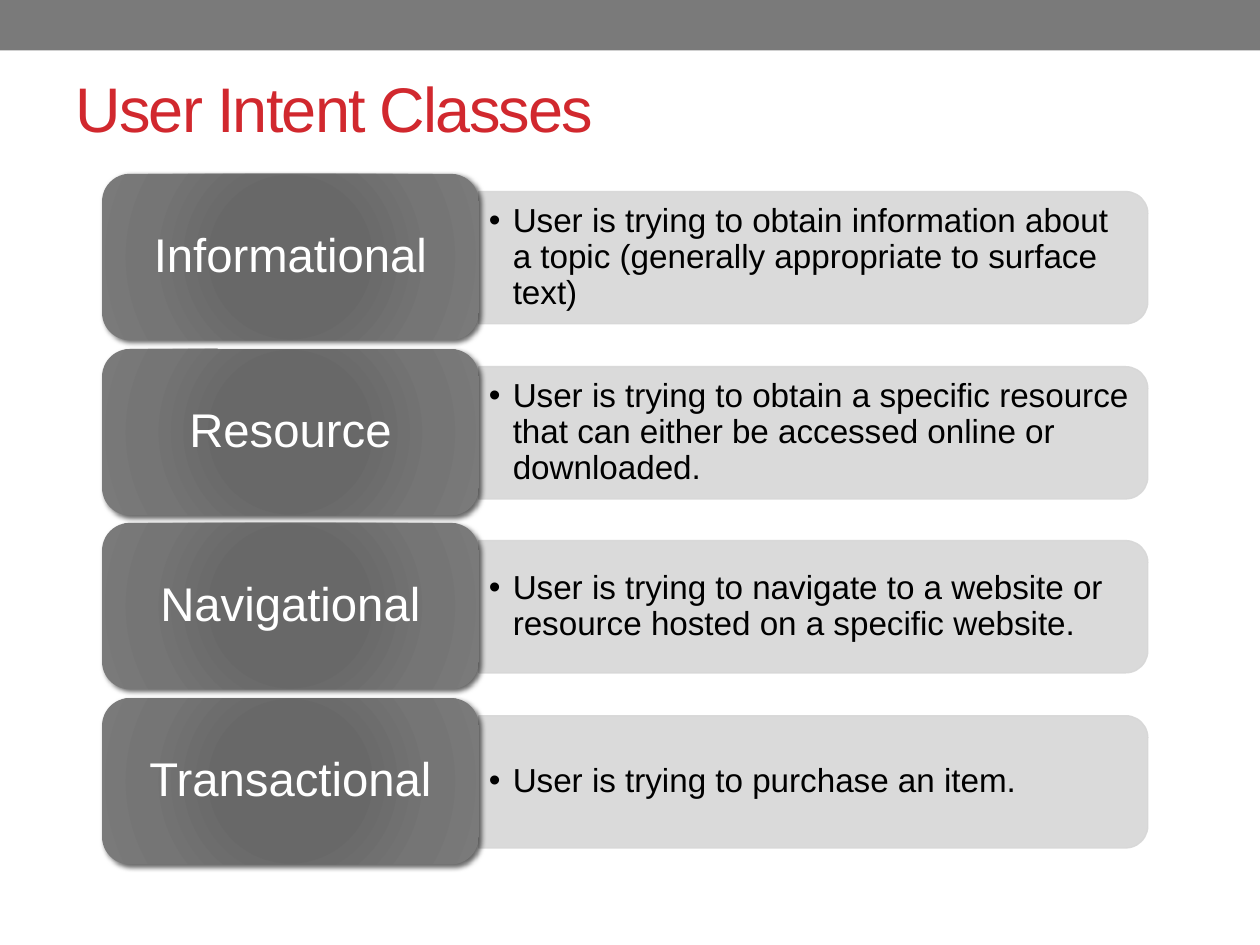
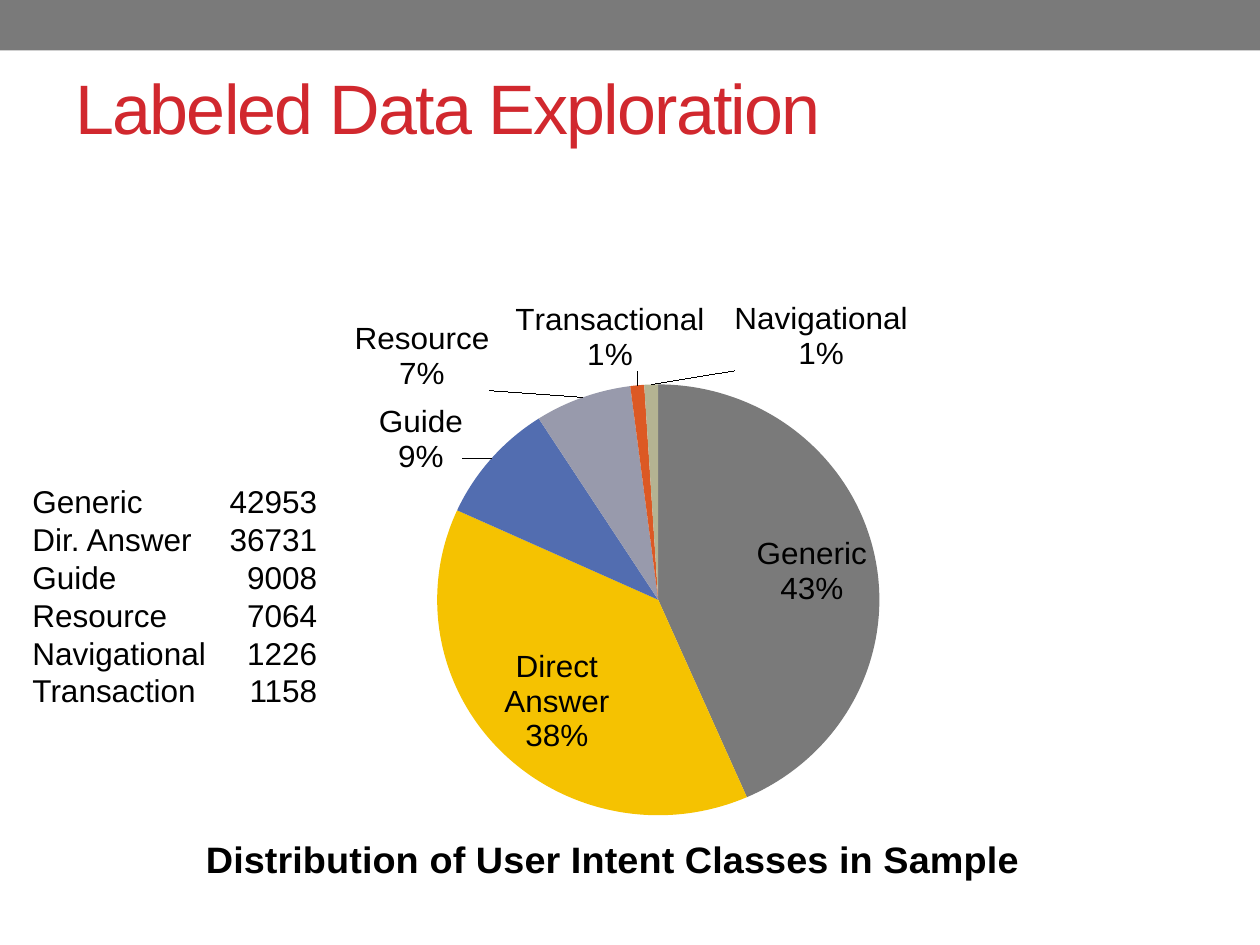
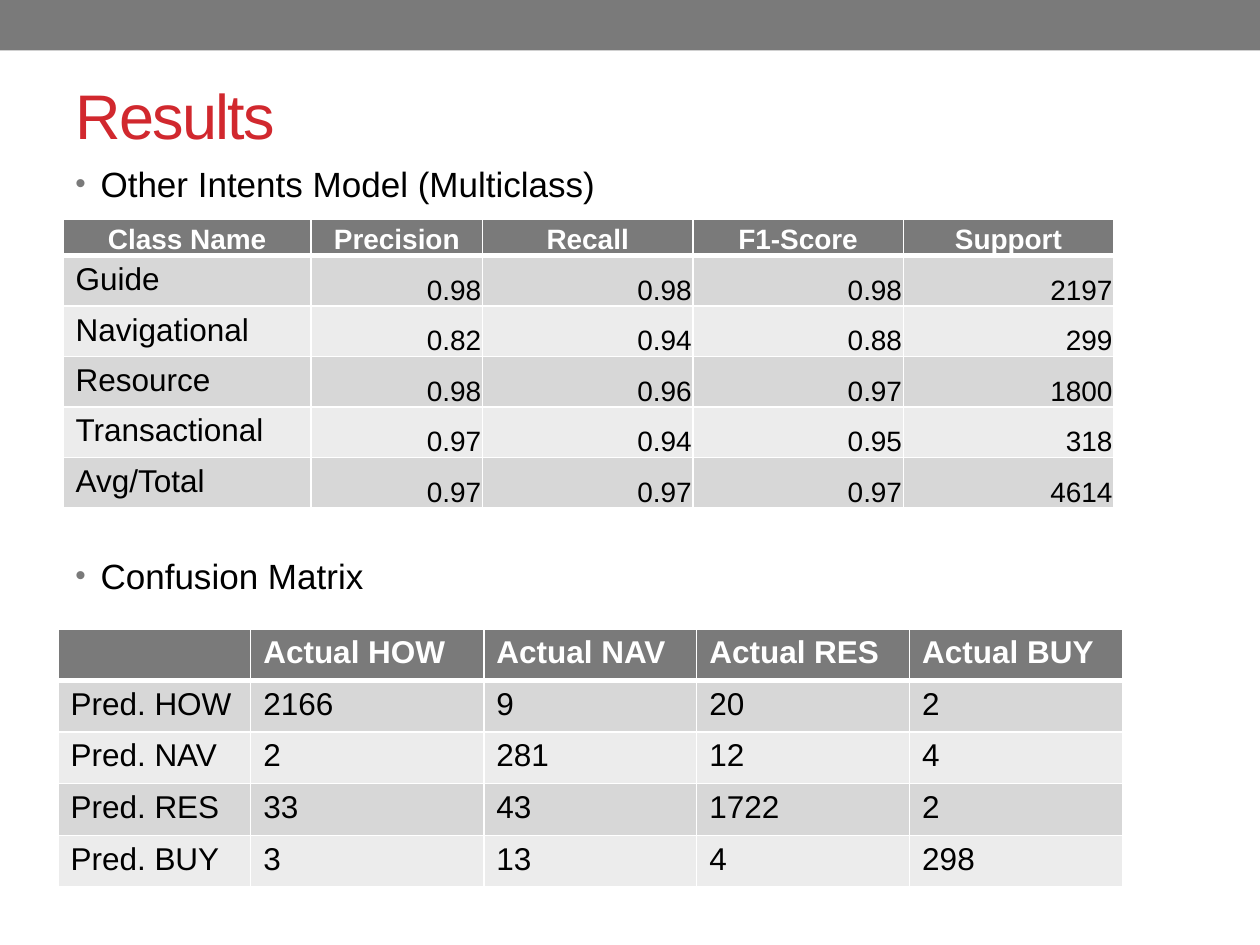
from dataclasses import dataclass

from pptx import Presentation as Deck
from pptx.chart.data import CategoryChartData as Data
from pptx.dml.color import RGBColor as Rgb
from pptx.enum.chart import XL_CHART_TYPE as Kind
from pptx.enum.shapes import MSO_SHAPE as Form
from pptx.enum.text import MSO_ANCHOR as Anchor, PP_ALIGN as Align
from pptx.oxml import parse_xml as to_xml
from pptx.oxml.ns import nsdecls as decls, qn
from pptx.util import Pt

PX = 9144
FONT = "Arial"
HEX = {
    "band": "7A7A7A", "title": "D1282E", "ink": "000000", "white": "FFFFFF",
    "bar": "D7D7D7", "light": "ECECEC", "core": "686868", "mid": "757575",
    "gold": "F5C201", "blue": "526DB0", "mist": "989AAC",
    "rust": "DC5924", "sand": "B4B392",
}
THIN, THICK = 12700, 38100
TIGHT = (1, 1, 1, 0)


@dataclass(frozen=True)
class Box:
    x: int
    y: int
    w: int
    h: int

    def emu(self) -> list[int]:
        return [n * PX for n in (self.x, self.y, self.w, self.h)]


@dataclass(frozen=True)
class Intent:
    name: str
    text: str


@dataclass(frozen=True)
class Slice:
    name: str
    value: int
    hue: str
    pos: str
    dx: float
    dy: float


@dataclass(frozen=True)
class Grid:
    x: int
    y: int
    cols: list[int]
    head: int
    row: int
    rows: list[list[str]]
    dense: bool = False


INTENTS = [
    Intent("Informational", "User is trying to obtain information about a topic "
                            "(generally appropriate to surface text)"),
    Intent("Resource", "User is trying to obtain a specific resource that can "
                       "either be accessed online or downloaded."),
    Intent("Navigational", "User is trying to navigate to a website or resource "
                           "hosted on a specific website."),
    Intent("Transactional", "User is trying to purchase an item."),
]

SLICES = [
    Slice("Generic", 43, "band", "ctr", 0.04, -0.01),
    Slice("Direct Answer", 38, "gold", "ctr", -0.02, 0.04),
    Slice("Guide", 9, "blue", "outEnd", -0.02, 0.03),
    Slice("Resource", 7, "mist", "outEnd", -0.08, 0),
    Slice("Transactional", 1, "rust", "outEnd", 0.06, -0.01),
    Slice("Navigational", 1, "sand", "outEnd", 0.15, -0.01),
]

COUNTS = [("Generic", 42953), ("Dir. Answer", 36731), ("Guide", 9008),
          ("Resource", 7064), ("Navigational", 1226), ("Transaction", 1158)]

SCORES = Grid(50, 174, [197, 136, 167, 167, 167], 29, 38, [
    ["Class Name", "Precision", "Recall", "F1-Score", "Support"],
    ["Guide", "0.98", "0.98", "0.98", "2197"],
    ["Navigational", "0.82", "0.94", "0.88", "299"],
    ["Resource", "0.98", "0.96", "0.97", "1800"],
    ["Transactional", "0.97", "0.94", "0.95", "318"],
    ["Avg/Total", "0.97", "0.97", "0.97", "4614"],
], dense=True)

MATRIX = Grid(46, 499, [153, 185, 169, 169, 169], 41, 41, [
    ["", "Actual HOW", "Actual NAV", "Actual RES", "Actual BUY"],
    ["Pred. HOW", "2166", "9", "20", "2"],
    ["Pred. NAV", "2", "281", "12", "4"],
    ["Pred. RES", "33", "43", "1722", "2"],
    ["Pred. BUY", "3", "13", "4", "298"],
])


def rgb(name: str) -> Rgb:
    return Rgb.from_string(HEX[name])


def node(tag: str, body: str = "", **attrs):
    pairs = "".join(f' {k}="{v}"' for k, v in attrs.items())
    return to_xml(f"<{tag} {decls('a', 'c')}{pairs}>{body}</{tag}>")


def tint(name: str, body: str = "") -> str:
    return f'<a:srgbClr val="{HEX[name]}">{body}</a:srgbClr>'


def write(frame, text: str, *, size: float = 18, hue: str = "ink", bold: bool = False,
          align=None, anchor=Anchor.TOP, pads=(10, 5, 10, 5), lead=None, above: int = 0,
          track: int = 0, hang: int = 0, dot: str = "", tab: int = 0) -> None:
    frame.word_wrap = True
    frame.vertical_anchor = anchor
    (frame.margin_left, frame.margin_top,
     frame.margin_right, frame.margin_bottom) = [n * PX for n in pads]
    for i, line in enumerate(text.split("\n")):
        para = frame.add_paragraph() if i else frame.paragraphs[0]
        para.alignment = align
        para.line_spacing = lead
        para.space_before = Pt(above)
        props = para._p.get_or_add_pPr()
        if hang:
            props.set("marL", str(hang * PX))
            props.set("indent", str(-hang * PX))
            if dot != "ink":
                props.append(node("a:buClr", tint(dot)))
                props.append(node("a:buSzPct", val=85000))
            props.append(node("a:buFont", typeface=FONT))
            props.append(node("a:buChar", char="•"))
        if tab:
            props.append(node("a:tabLst", f'<a:tab pos="{tab * PX}" algn="r"/>'))
        run = para.add_run()
        run.text = line
        font = run.font
        font.name, font.size, font.bold = FONT, Pt(size), bold
        font.color.rgb = rgb(hue)
        if track:
            run._r.get_or_add_rPr().set("spc", str(track))


def note(slide, box: Box, text: str, **style) -> None:
    write(slide.shapes.add_textbox(*box.emu()).text_frame, text, **style)


def block(slide, form, box: Box, hue: str):
    shape = slide.shapes.add_shape(form, *box.emu())
    shape.shadow.inherit = False
    shape.fill.solid()
    shape.fill.fore_color.rgb = rgb(hue)
    shape.line.fill.background()
    return shape


def start(deck, title: str, box: Box, size: int = 36):
    slide = deck.slides.add_slide(deck.slide_layouts[6])
    block(slide, Form.RECTANGLE, Box(0, 0, 1000, 40), "band")
    note(slide, box, title, size=size, hue="title", anchor=Anchor.MIDDLE, track=-100)
    return slide


def add_bar(slide, top: int, text: str) -> None:
    bar = block(slide, Form.ROUND_2_SAME_RECTANGLE, Box(593, top - 199, 105, 531), "bar")
    bar.rotation = 90
    bar.line.color.rgb = rgb("bar")
    bar.line.width = Pt(0.75)
    for spot in bar._element.spPr.iter(qn("a:srgbClr")):
        spot.append(node("a:alpha", val=90000))
    note(slide, Box(380, top + 19, 526, 95), text, size=19, anchor=Anchor.MIDDLE,
         pads=(8, 4, 8, 4), lead=0.9, hang=19, dot="ink")


def add_key(slide, top: int, name: str) -> None:
    key = block(slide, Form.ROUNDED_RECTANGLE, Box(81, top, 299, 132), "band")
    props = key._element.spPr
    stops = [(0, "core"), (34, "core"), (70, "mid"), (100, "band")]
    marks = "".join(f'<a:gs pos="{p * 1000}">{tint(c)}</a:gs>' for p, c in stops)
    edges = " ".join(f'{side}="100000"' for side in "ltrb")
    fade = node("a:gradFill", f'<a:gsLst>{marks}</a:gsLst><a:path path="circle">'
                f'<a:fillToRect {edges}/></a:path>', rotWithShape=1)
    props.replace(props.find(qn("a:solidFill")), fade)
    shade = tint("ink", '<a:alpha val="60000"/>')
    props.find(qn("a:effectLst")).append(node(
        "a:outerShdw", shade, blurRad=38100, dist=25400, dir=2700000, rotWithShape=0))
    write(key.text_frame, name, size=27, hue="white", align=Align.CENTER,
          anchor=Anchor.MIDDLE, pads=(11, 6, 11, 6), lead=0.9)


def layout(**spots: float) -> str:
    modes = "".join(f'<c:{k}Mode val="edge"/>' for k in spots if k in "xy")
    sizes = "".join(f'<c:{k} val="{v}"/>' for k, v in spots.items())
    return f"<c:manualLayout>{modes}{sizes}</c:manualLayout>"


def place(part, index: int, **spots: float) -> None:
    for old in part.findall(qn("c:layout")):
        part.remove(old)
    part.insert(index, node("c:layout", layout(**spots)))


def labels():
    shows = "".join(f'<c:show{k} val="{v}"/>' for k, v in (
        ("LegendKey", 0), ("Val", 0), ("CatName", 1),
        ("SerName", 0), ("Percent", 1), ("BubbleSize", 0)))
    shows += "<c:separator>\n</c:separator>"
    items = "".join(
        f'<c:dLbl><c:idx val="{i}"/><c:layout><c:manualLayout><c:x val="{s.dx}"/>'
        f'<c:y val="{s.dy}"/></c:manualLayout></c:layout>'
        f'<c:dLblPos val="{s.pos}"/>{shows}</c:dLbl>' for i, s in enumerate(SLICES))
    return node("c:dLbls", f'{items}{shows}<c:showLeaderLines val="1"/>')


def add_pie(slide, box: Box) -> None:
    data = Data()
    data.categories = [s.name for s in SLICES]
    data.add_series("Series 1", [s.value for s in SLICES])
    chart = slide.shapes.add_chart(Kind.PIE, *box.emu(), data).chart
    chart.has_legend = False
    chart.font.name, chart.font.size = FONT, Pt(18)
    chart.font.color.rgb = rgb("ink")
    chart.has_title = True
    write(chart.chart_title.text_frame, "Distribution of User Intent Classes in Sample",
          size=21.6, bold=True)
    place(chart.chart_title._element, 1, x=0.12, y=0.93)
    place(chart._chartSpace.chart.plotArea, 0, x=0.33, y=0.25, w=0.39, h=0.66)
    plot = chart.plots[0]
    plot.vary_by_categories = True
    series = plot.series[0]
    for i, part in enumerate(SLICES):
        fill = series.points[i].format.fill
        fill.solid()
        fill.fore_color.rgb = rgb(part.hue)
    series._element.find(qn("c:cat")).addprevious(labels())


def edge(cell, row: int) -> None:
    props = cell._tc.get_or_add_tcPr()
    wide = {"T": row == 1, "B": row == 0}
    for i, side in enumerate("LRTB"):
        width = THICK if wide.get(side) else THIN
        fill = f"<a:solidFill>{tint('white')}</a:solidFill>"
        props.insert(i, node(f"a:ln{side}", fill, w=width))


def style(grid: Grid, row: int, col: int) -> dict:
    look = {"hue": "ink" if row else "white", "bold": row == 0}
    if grid.dense and (row == 0 or col > 0):
        look |= {"size": 16, "anchor": Anchor.BOTTOM, "pads": TIGHT,
                 "align": Align.RIGHT if row else Align.CENTER}
    return look


def add_grid(slide, grid: Grid) -> None:
    count = len(grid.rows)
    box = Box(grid.x, grid.y, sum(grid.cols), grid.head + grid.row * (count - 1))
    table = slide.shapes.add_table(count, len(grid.cols), *box.emu()).table
    for col, width in enumerate(grid.cols):
        table.columns[col].width = width * PX
    for r, line in enumerate(grid.rows):
        table.rows[r].height = (grid.row if r else grid.head) * PX
        for c, text in enumerate(line):
            cell = table.cell(r, c)
            look = style(grid, r, c)
            write(cell.text_frame, text, **look)
            cell.vertical_anchor = look.get("anchor", Anchor.TOP)
            (cell.margin_left, cell.margin_top, cell.margin_right,
             cell.margin_bottom) = [n * PX for n in look.get("pads", (10, 5, 10, 5))]
            cell.fill.solid()
            cell.fill.fore_color.rgb = rgb(
                "band" if r == 0 else "bar" if r % 2 else "light")
            edge(cell, r)


def main() -> None:
    deck = Deck()
    deck.slide_width, deck.slide_height = 1000 * PX, 750 * PX

    slide = start(deck, "User Intent Classes", Box(50, 59, 890, 52))
    for i, item in enumerate(INTENTS):
        top = (i + 1) * 277 // 2
        add_bar(slide, top, item.text)
        add_key(slide, top, item.name)

    slide = start(deck, "Labeled Data Exploration", Box(50, 42, 900, 85), 40)
    add_pie(slide, Box(50, 175, 900, 533))
    note(slide, Box(16, 378, 290, 192),
         "\n".join(f"{name}\t{count}" for name, count in COUNTS), tab=226)

    slide = start(deck, "Results", Box(50, 58, 900, 65))
    for top, text in ((124, "Other Intents Model (Multiclass)"), (435, "Confusion Matrix")):
        note(slide, Box(50, top, 900, 42), text, size=20, above=4, hang=20, dot="band")
    for grid in (SCORES, MATRIX):
        add_grid(slide, grid)

    deck.save("out.pptx")


if __name__ == "__main__":
    main()
